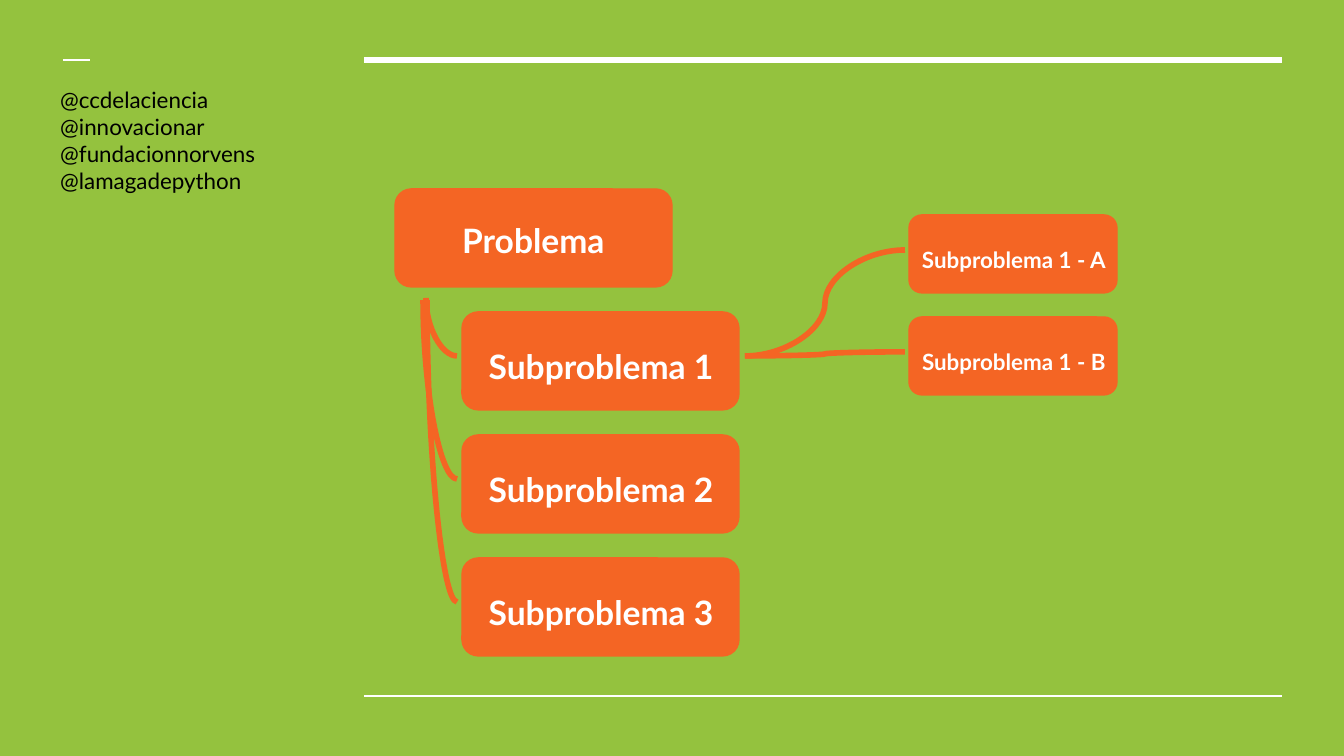
from dataclasses import dataclass
from typing import NamedTuple

from lxml.etree import SubElement
from pptx import Presentation
from pptx.dml.color import RGBColor
from pptx.enum.shapes import MSO_CONNECTOR, MSO_SHAPE
from pptx.enum.text import PP_ALIGN
from pptx.oxml.ns import qn
from pptx.util import Emu, Pt


@dataclass(frozen=True)
class Theme:
    background: RGBColor = RGBColor(0x94, 0xC2, 0x3E)
    accent: RGBColor = RGBColor(0xF4, 0x65, 0x24)
    light: RGBColor = RGBColor(0xFF, 0xFF, 0xFF)
    dark: RGBColor = RGBColor(0x00, 0x00, 0x00)
    font: str = "Lato"
    large: int = 18
    small: int = 12


class Point(NamedTuple):
    x: int
    y: int


class Area(NamedTuple):
    x: int
    y: int
    w: int
    h: int


class Rule(NamedTuple):
    left: int
    right: int
    y: int
    weight: float


class Problem(NamedTuple):
    text: str
    box: Area
    label: Area
    size: int


THEME = Theme()
PX_PER_INCH = 134.4
SUB_STEP, DETAIL_STEP = 123, 102

RULES = [Rule(364, 1282, 60, 3), Rule(364, 1282, 696, 1.5), Rule(63, 90, 60, 1.5)]
HANDLES = ["@ccdelaciencia", "@innovacionar", "@fundacionnorvens", "@lamagadepython"]

# The main problem, its subproblems and the details of the first one
PROBLEMS = [
    Problem("Problema", Area(395, 189, 277, 98), Area(422, 207, 223, 44), THEME.large),
    *(Problem(f"Subproblema {i + 1}", Area(462, 312 + i * SUB_STEP, 277, 98),
              Area(457, 333 + i * SUB_STEP, 288, 44), THEME.large) for i in range(3)),
    *(Problem(f"Subproblema 1 - {letter}", Area(909, 215 + i * DETAIL_STEP, 208, 78),
              Area(906, 233 + i * DETAIL_STEP, 216, 36), THEME.small)
      for i, letter in enumerate("AB")),
]
DROP_STARTS = [Point(426, 298), Point(423, 300), Point(427, 300)]
DROP_ENDS = [Point(457, 356 + i * SUB_STEP) for i in range(3)]
BRANCH_START = Point(745, 356)
BRANCH_ENDS = [Point(905, 250 + i * DETAIL_STEP) for i in range(2)]


def px(length: float) -> Emu:
    return Emu(round(length * 914400 / PX_PER_INCH))


def draw_line(slide, kind, start, end, color: RGBColor, weight: float):
    line = slide.shapes.add_connector(kind, *map(px, start), *map(px, end))
    line.line.color.rgb = color
    line.line.width = Pt(weight)
    SubElement(line._element.spPr, qn("a:effectLst"))
    return line


def draw_drop(slide, start: Point, end: Point) -> None:
    """Quarter curve that leaves downwards and arrives from the left."""
    across, down = end.x - start.x, end.y - start.y
    center_x, center_y = (start.x + end.x) / 2, (start.y + end.y) / 2
    curve = draw_line(slide, MSO_CONNECTOR.CURVE,
                      (center_x + down / 2, center_y - across / 2),
                      (center_x - down / 2, center_y + across / 2), THEME.accent, 3)
    properties = curve._element.spPr
    properties.find(qn("a:xfrm")).set("rot", str(270 * 60000))
    properties.find(qn("a:prstGeom")).set("prst", "curvedConnector2")


def draw_text(slide, area: Area, lines: list[str], size: int, color: RGBColor,
              align: PP_ALIGN = PP_ALIGN.LEFT, bold: bool = False) -> None:
    frame = slide.shapes.add_textbox(*map(px, area)).text_frame
    frame.word_wrap = True
    frame.margin_left = frame.margin_right = Pt(7.2)
    frame.margin_top = frame.margin_bottom = Pt(7.2)
    for index, text in enumerate(lines):
        paragraph = frame.add_paragraph() if index else frame.paragraphs[0]
        paragraph.alignment = align
        run = paragraph.add_run()
        run.text = text
        run.font.name = THEME.font
        run.font.size = Pt(size)
        run.font.bold = bold
        run.font.color.rgb = color


def draw_problem(slide, problem: Problem) -> None:
    box = slide.shapes.add_shape(MSO_SHAPE.ROUNDED_RECTANGLE, *map(px, problem.box))
    box.shadow.inherit = False
    box.fill.solid()
    box.fill.fore_color.rgb = THEME.accent
    box.line.color.rgb = THEME.accent
    box.line.width = Pt(0.75)
    draw_text(slide, problem.label, [problem.text], problem.size, THEME.light,
              PP_ALIGN.CENTER, True)


def main() -> None:
    presentation = Presentation()
    presentation.slide_width, presentation.slide_height = px(1344), px(756)
    slide = presentation.slides.add_slide(presentation.slide_layouts[6])
    slide.background.fill.solid()
    slide.background.fill.fore_color.rgb = THEME.background

    # Frame rules and account handles
    for rule in RULES:
        draw_line(slide, MSO_CONNECTOR.STRAIGHT, (rule.left, rule.y),
                  (rule.right, rule.y), THEME.light, rule.weight)
    draw_text(slide, Area(47, 73, 348, 214), HANDLES, THEME.small, THEME.dark)

    # Problem tree
    for problem in PROBLEMS:
        draw_problem(slide, problem)
    for start, end in zip(DROP_STARTS, DROP_ENDS):
        draw_drop(slide, start, end)
    for end in BRANCH_ENDS:
        draw_line(slide, MSO_CONNECTOR.CURVE, BRANCH_START, end, THEME.accent, 3)

    presentation.save("out.pptx")


if __name__ == "__main__":
    main()
